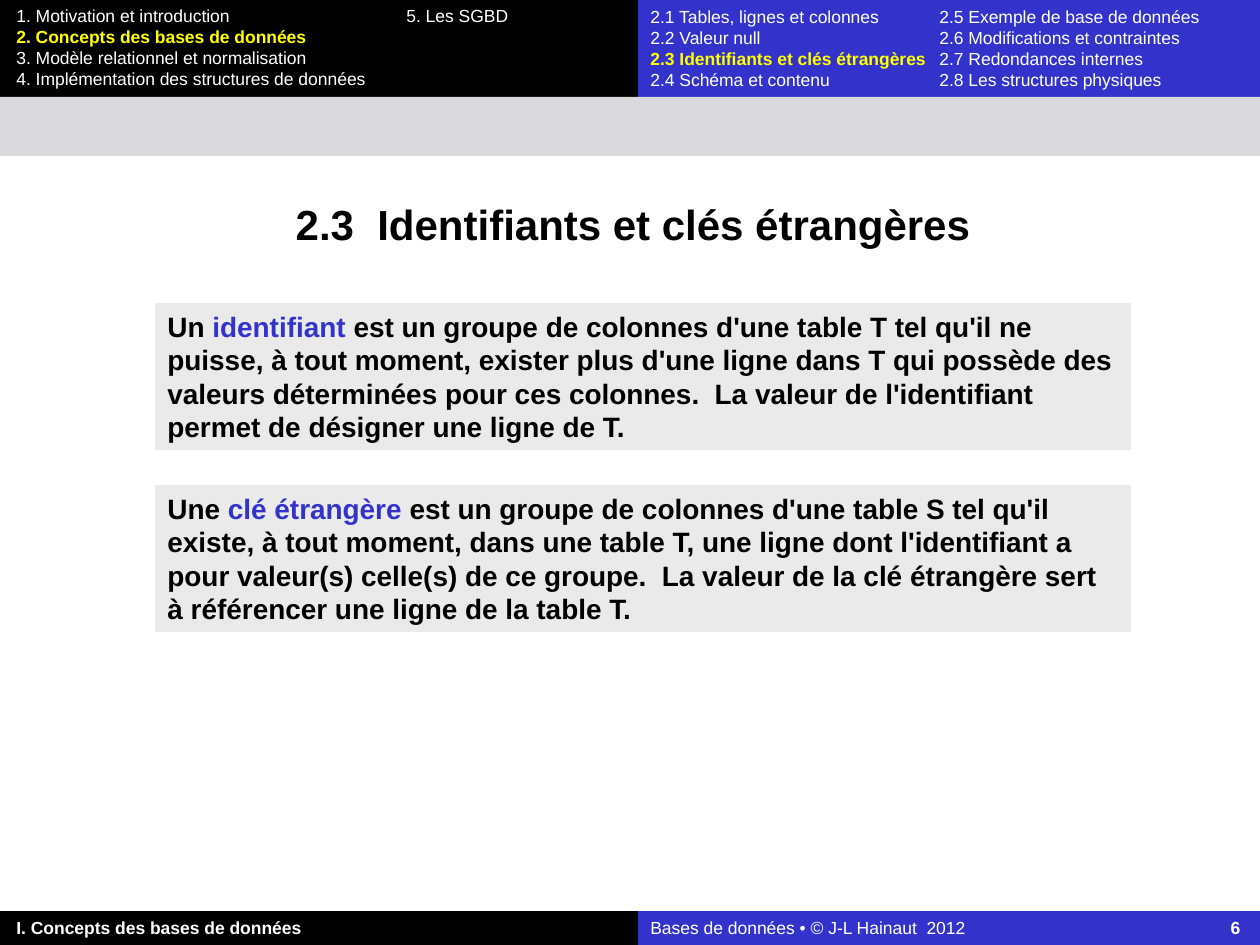
from dataclasses import dataclass
from typing import NamedTuple

from lxml.etree import SubElement
from pptx import Presentation
from pptx.dml.color import RGBColor
from pptx.enum.shapes import MSO_SHAPE
from pptx.enum.text import MSO_ANCHOR, MSO_AUTO_SIZE, PP_ALIGN
from pptx.oxml.ns import qn
from pptx.util import Emu, Pt

PX_PER_INCH = 126
EMU_PER_PX = 914400 / PX_PER_INCH
FONT = "Arial"
LINE_HEIGHT = 1.2

BLACK = RGBColor(0x00, 0x00, 0x00)
WHITE = RGBColor(0xFF, 0xFF, 0xFF)
BLUE = RGBColor(0x33, 0x33, 0xCC)
YELLOW = RGBColor(0xFF, 0xFF, 0x00)
BAND_GREY = RGBColor(0xDA, 0xDA, 0xDC)
BOX_GREY = RGBColor(0xEA, 0xEA, 0xEA)

SLIDE_WIDTH, SLIDE_HEIGHT = 1260, 945
SPLIT = 638
HEADER_HEIGHT = 97
BAND_HEIGHT = 59
FOOTER_TOP = 911
FOOTER_HEIGHT = SLIDE_HEIGHT - FOOTER_TOP
LEFT_TEXT, LEFT_TEXT_WIDTH = 4, 581


def px(length: int) -> Emu:
    return Emu(round(length * EMU_PER_PX))


class Area(NamedTuple):
    left: int
    top: int
    width: int
    height: int

    def emu(self) -> list[Emu]:
        return [px(length) for length in self]


class Span(NamedTuple):
    text: str
    color: RGBColor = WHITE
    bold: bool = False


@dataclass
class Panel:
    area: Area
    fill: RGBColor


@dataclass
class Definition:
    top: int
    before: str
    term: str
    after: str


RIGHT_HEADER = Area(SPLIT, 0, SLIDE_WIDTH - SPLIT, HEADER_HEIGHT)
RIGHT_FOOTER = Area(SPLIT, FOOTER_TOP, SLIDE_WIDTH - SPLIT, FOOTER_HEIGHT)

PANELS = [
    Panel(Area(0, 0, SPLIT, HEADER_HEIGHT), BLACK),
    Panel(RIGHT_HEADER, BLUE),
    Panel(Area(0, FOOTER_TOP, SPLIT, FOOTER_HEIGHT), BLACK),
    Panel(RIGHT_FOOTER, BLUE),
    Panel(Area(0, HEADER_HEIGHT, SLIDE_WIDTH, BAND_HEIGHT), BAND_GREY),
]

CHAPTERS = [
    [Span("1. Motivation et introduction\t5. Les SGBD")],
    [Span("2. Concepts des bases de données", YELLOW, True)],
    [Span("3. Modèle relationnel et normalisation")],
    [Span("4. Implémentation des structures de données")],
]

SECTIONS = [
    [Span("2.1 Tables, lignes et colonnes\t2.5 Exemple de base de données")],
    [Span("2.2 Valeur null\t2.6 Modifications et contraintes")],
    [Span("2.3 Identifiants et clés étrangères", YELLOW, True),
     Span("\t2.7 Redondances internes")],
    [Span("2.4 Schéma et contenu\t2.8 Les structures physiques")],
]

DEFINITIONS = [
    Definition(
        303, "Un ", "identifiant",
        " est un groupe de colonnes d'une table T tel qu'il ne puisse, à tout moment, "
        "exister plus d'une ligne dans T qui possède des valeurs déterminées pour ces "
        "colonnes.  La valeur de l'identifiant permet de désigner une ligne de T.",
    ),
    Definition(
        485, "Une ", "clé étrangère",
        " est un groupe de colonnes d'une table S tel qu'il existe, à tout moment, dans "
        "une table T, une ligne dont l'identifiant a pour valeur(s) celle(s) de ce groupe.  "
        "La valeur de la clé étrangère sert à référencer une ligne de la table T.",
    ),
]


def write_text(shape, paragraphs: list[list[Span]], *, size: int = 10,
               align=PP_ALIGN.LEFT, tab: int = 0, tab_align: str = "l",
               wrap: bool = True) -> None:
    frame = shape.text_frame
    frame.word_wrap = wrap
    frame.auto_size = MSO_AUTO_SIZE.NONE
    frame.vertical_anchor = MSO_ANCHOR.TOP
    for index, spans in enumerate(paragraphs):
        paragraph = frame.add_paragraph() if index else frame.paragraphs[0]
        if tab:
            tab_list = SubElement(paragraph._p.get_or_add_pPr(), qn("a:tabLst"))
            SubElement(tab_list, qn("a:tab"), pos=str(px(tab)), algn=tab_align)
        paragraph.alignment = align
        paragraph.line_spacing = Pt(size * LINE_HEIGHT)
        paragraph.space_before = Pt(0)
        for span in spans:
            run = paragraph.add_run()
            run.text = span.text
            run.font.name = FONT
            run.font.size = Pt(size)
            run.font.bold = span.bold
            run.font.color.rgb = span.color


def add_panel(slide, panel: Panel):
    shape = slide.shapes.add_shape(MSO_SHAPE.RECTANGLE, *panel.area.emu())
    shape.shadow.inherit = False
    shape.fill.solid()
    shape.fill.fore_color.rgb = panel.fill
    shape.line.fill.background()
    return shape


def add_label(slide, area: Area, paragraphs: list[list[Span]], **text_format) -> None:
    write_text(slide.shapes.add_textbox(*area.emu()), paragraphs, **text_format)


def add_definition(slide, definition: Definition) -> None:
    shape = add_panel(slide, Panel(Area(155, definition.top, 976, 147), BOX_GREY))
    spans = [
        Span(definition.before, BLACK, True),
        Span(definition.term, BLUE, True),
        Span(definition.after, BLACK, True),
    ]
    write_text(shape, [spans], size=16)


def place_title(slide, area: Area, text: str) -> None:
    title = slide.shapes.title
    title.left, title.top, title.width, title.height = area.emu()
    write_text(title, [[Span(text, BLACK, True)]], size=24,
               align=PP_ALIGN.CENTER, wrap=False)


def main() -> None:
    presentation = Presentation()
    presentation.slide_width = px(SLIDE_WIDTH)
    presentation.slide_height = px(SLIDE_HEIGHT)
    slide = presentation.slides.add_slide(presentation.slide_layouts[5])

    for panel in PANELS:
        add_panel(slide, panel)
    place_title(slide, Area(283, 192, 700, 63), "2.3  Identifiants et clés étrangères")
    for definition in DEFINITIONS:
        add_definition(slide, definition)

    add_label(slide, Area(LEFT_TEXT, -1, LEFT_TEXT_WIDTH, HEADER_HEIGHT), CHAPTERS, tab=390)
    add_label(slide, RIGHT_HEADER, SECTIONS, tab=289)
    add_label(slide, Area(LEFT_TEXT, FOOTER_TOP, LEFT_TEXT_WIDTH, FOOTER_HEIGHT),
              [[Span("I. Concepts des bases de données", bold=True)]])
    add_label(slide, RIGHT_FOOTER,
              [[Span("Bases de données • © J-L Hainaut  2012\t"), Span("6", bold=True)]],
              tab=590, tab_align="r")

    presentation.save("out.pptx")


if __name__ == "__main__":
    main()
